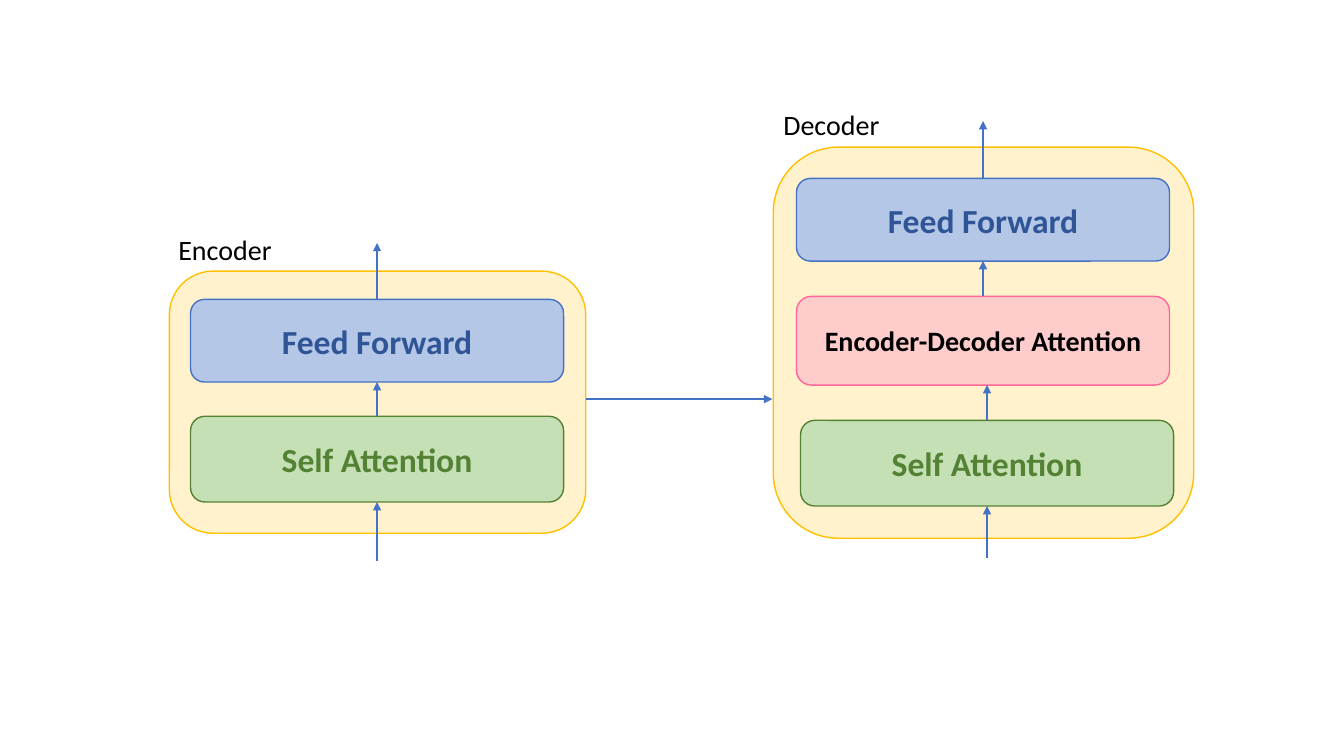
from itertools import pairwise

from lxml import etree
from pptx import Presentation
from pptx import util as u
from pptx.dml import color
from pptx.enum import shapes, text
from pptx.oxml import ns

THEME = {
    "face": "Calibri",
    "line": "4472C4",
    "ink": "000000",
    "width": {"box": 1, "arrow": 1.5},
    "size": {"label": 20, "block": 24},
    "panel": {"fill": "FFF2CC", "edge": "FFC000"},
    "feed": {"fill": "B4C7E7", "edge": "4472C4", "ink": "2F5597", "size": 24},
    "self": {"fill": "C5E0B4", "edge": "548235", "ink": "548235", "size": 24},
    "cross": {"fill": "FFCCCC", "edge": "FF6699", "ink": "000000", "size": 20},
}
WIDE = 3.7

ENCODER = {
    "panel": (1.68, 2.69, 4.13, 2.6),
    "blocks": [
        ("self", "Self Attention", 1.89, 4.13, 0.85),
        ("feed", "Feed Forward", 1.89, 2.97, 0.82),
    ],
    "entry": 5.57,
    "exit": 2.41,
}
DECODER = {
    "panel": (7.67, 1.46, 4.17, 3.88),
    "blocks": [
        ("self", "Self Attention", 7.94, 4.17, 0.85),
        ("cross", "Encoder-Decoder Attention", 7.9, 2.94, 0.88),
        ("feed", "Feed Forward", 7.9, 1.77, 0.82),
    ],
    "entry": 5.54,
    "exit": 1.2,
}


def rgb(code):
    return color.RGBColor.from_string(code)


def style(item, values):
    for name, value in values.items():
        setattr(item, name, value)


def write(frame, words, size, ink, bold, align):
    para = frame.paragraphs[0]
    para.alignment = align
    run = para.add_run()
    run.text = words
    style(run.font, {"name": THEME["face"], "size": u.Pt(size), "bold": bold})
    run.font.color.rgb = rgb(ink)


def add_box(slide, place, look):
    box = slide.shapes.add_shape(
        shapes.MSO_SHAPE.ROUNDED_RECTANGLE, *map(u.Inches, place)
    )
    box.shadow.inherit = False
    box.fill.solid()
    box.fill.fore_color.rgb = rgb(look["fill"])
    box.line.color.rgb = rgb(look["edge"])
    box.line.width = u.Pt(THEME["width"]["box"])
    return box


def add_block(slide, kind, words, left, top, high):
    look = THEME[kind]
    box = add_box(slide, (left, top, WIDE, high), look)
    frame = box.text_frame
    style(frame, {"word_wrap": True, "vertical_anchor": text.MSO_ANCHOR.MIDDLE})
    write(frame, words, look["size"], look["ink"], True, text.PP_ALIGN.CENTER)
    return box


def add_label(slide, words, left, top):
    place = (left, top, 2.69, 0.44)
    frame = slide.shapes.add_textbox(*map(u.Inches, place)).text_frame
    style(frame, {"word_wrap": True, "auto_size": text.MSO_AUTO_SIZE.SHAPE_TO_FIT_TEXT})
    write(frame, words, THEME["size"]["label"], THEME["ink"], False, text.PP_ALIGN.LEFT)


def add_arrow(slide, start, end, low=None, high=None):
    arrow = slide.shapes.add_connector(
        shapes.MSO_CONNECTOR.STRAIGHT, *map(u.Inches, start + end)
    )
    if low is not None:
        arrow.begin_connect(low, 0)
    if high is not None:
        arrow.end_connect(high, 2)
    arrow.line.color.rgb = rgb(THEME["line"])
    arrow.line.width = u.Pt(THEME["width"]["arrow"])
    line = arrow.line._get_or_add_ln()
    etree.SubElement(line, ns.qn("a:tailEnd"), type="triangle")
    etree.SubElement(arrow._element.spPr, ns.qn("a:effectLst"))


def add_stack(slide, stack):
    add_box(slide, stack["panel"], THEME["panel"])
    blocks = stack["blocks"]
    boxes = [add_block(slide, *block) for block in blocks]
    mids = [left + WIDE / 2 for _, _, left, _, _ in blocks]
    tops = [top for _, _, _, top, _ in blocks]
    feet = [top + high for _, _, _, top, high in blocks]

    add_arrow(slide, (mids[0], stack["entry"]), (mids[0], feet[0]), high=boxes[0])
    for low, high in pairwise(range(len(boxes))):
        joint = boxes[high] if mids[low] == mids[high] else None
        add_arrow(
            slide, (mids[low], tops[low]), (mids[low], feet[high]), boxes[low], joint
        )
    add_arrow(slide, (mids[-1], tops[-1]), (mids[-1], stack["exit"]), low=boxes[-1])


def main():
    deck = Presentation()
    style(deck, {"slide_width": u.Inches(13.33), "slide_height": u.Inches(7.5)})
    slide = deck.slides.add_slide(deck.slide_layouts[6])
    add_stack(slide, ENCODER)
    add_stack(slide, DECODER)
    add_arrow(slide, (5.81, 3.96), (7.66, 3.96))
    add_label(slide, "Encoder", 1.67, 2.26)
    add_label(slide, "Decoder", 7.67, 1.02)
    deck.save("out.pptx")


if __name__ == "__main__":
    main()
